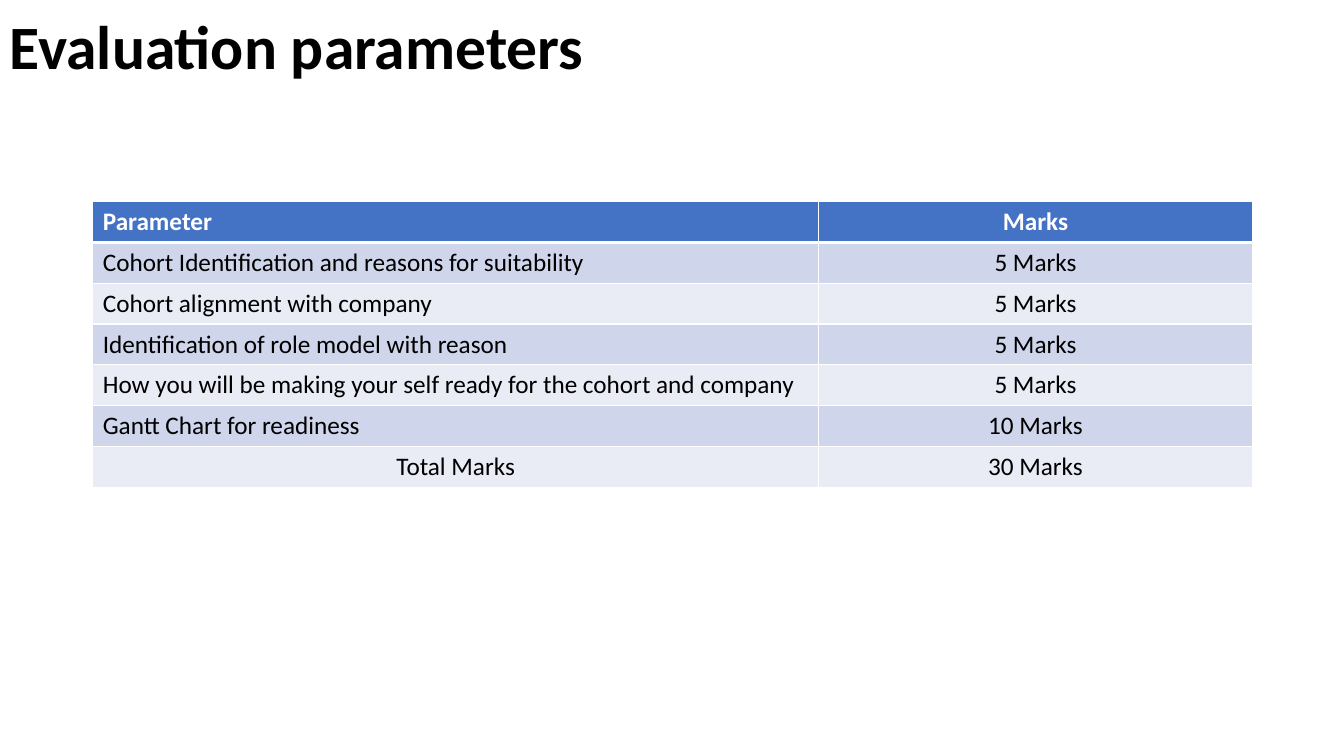
from dataclasses import dataclass

import pptx
import pptx.dml.color
import pptx.enum.text
import pptx.oxml
import pptx.oxml.ns
import pptx.util
from pptx.util import Inches

FONT = "Calibri"
WHITE, BLACK, BLUE = "FFFFFF", "000000", "4472C4"
BANDS = ("CFD5EA", "E9EBF5")
COLUMN_WIDTHS = (7.2, 4.3)
ROW_HEIGHT = 0.405
THIN, THICK = 1, 3
LEFT = pptx.enum.text.PP_ALIGN.LEFT
CENTER = pptx.enum.text.PP_ALIGN.CENTER


@dataclass
class Row:
    parameter: str
    marks: str
    align: pptx.enum.text.PP_ALIGN = LEFT


ROWS = [
    Row("Parameter", "Marks"),
    Row("Cohort Identification and reasons for suitability", "5 Marks"),
    Row("Cohort alignment with company", "5 Marks"),
    Row("Identification of role model with reason", "5 Marks"),
    Row("How you will be making your self ready for the cohort and company", "5 Marks"),
    Row("Gantt Chart for readiness", "10 Marks"),
    Row("Total Marks", "30 Marks", CENTER),
]


def rgb(color: str) -> pptx.dml.color.RGBColor:
    return pptx.dml.color.RGBColor.from_string(color)


def write(tf, text: str, size: float, color: str, bold: bool, align=LEFT):
    p = tf.paragraphs[0]
    p.text = text
    p.alignment = align
    p.font.name = FONT
    p.font.size = pptx.util.Pt(size)
    p.font.bold = bold
    p.font.color.rgb = rgb(color)
    return p


def add_borders(cell, top: float, bottom: float) -> None:
    """Draw white cell borders; call before the fill, which must follow them."""
    tc_pr = cell._tc.get_or_add_tcPr()
    for side, width in (("L", THIN), ("R", THIN), ("T", top), ("B", bottom)):
        tc_pr.append(pptx.oxml.parse_xml(
            f'<a:ln{side} {pptx.oxml.ns.nsdecls("a")} w="{pptx.util.Pt(width)}">'
            f'<a:solidFill><a:srgbClr val="{WHITE}"/></a:solidFill></a:ln{side}>'))


def add_title(s, text: str) -> None:
    tf = s.shapes.add_textbox(0, 0, Inches(11.5), Inches(0.98)).text_frame
    tf.word_wrap = True
    tf.vertical_anchor = pptx.enum.text.MSO_ANCHOR.MIDDLE
    write(tf, text, 44, BLACK, True).line_spacing = 0.9


def add_marks_table(s, rows: list[Row]) -> None:
    table = s.shapes.add_table(
        len(rows), len(COLUMN_WIDTHS), Inches(0.92), Inches(2),
        Inches(sum(COLUMN_WIDTHS)), Inches(ROW_HEIGHT * len(rows))).table
    for column, width in zip(table.columns, COLUMN_WIDTHS):
        column.width = Inches(width)
    for i, row in enumerate(rows):
        header = i == 0
        table.rows[i].height = Inches(ROW_HEIGHT)
        entries = ((row.parameter, row.align), (row.marks, CENTER))
        for cell, (text, align) in zip(table.rows[i].cells, entries):
            add_borders(cell, THICK if i == 1 else THIN, THICK if header else THIN)
            cell.fill.solid()
            cell.fill.fore_color.rgb = rgb(BLUE if header else BANDS[(i - 1) % 2])
            write(cell.text_frame, text, 18, WHITE if header else BLACK, header, align)


def main() -> None:
    prs = pptx.Presentation()
    prs.slide_width, prs.slide_height = Inches(13.33), Inches(7.5)
    s = prs.slides.add_slide(prs.slide_layouts[6])
    add_title(s, "Evaluation parameters")
    add_marks_table(s, ROWS)
    prs.save("out.pptx")


if __name__ == "__main__":
    main()
